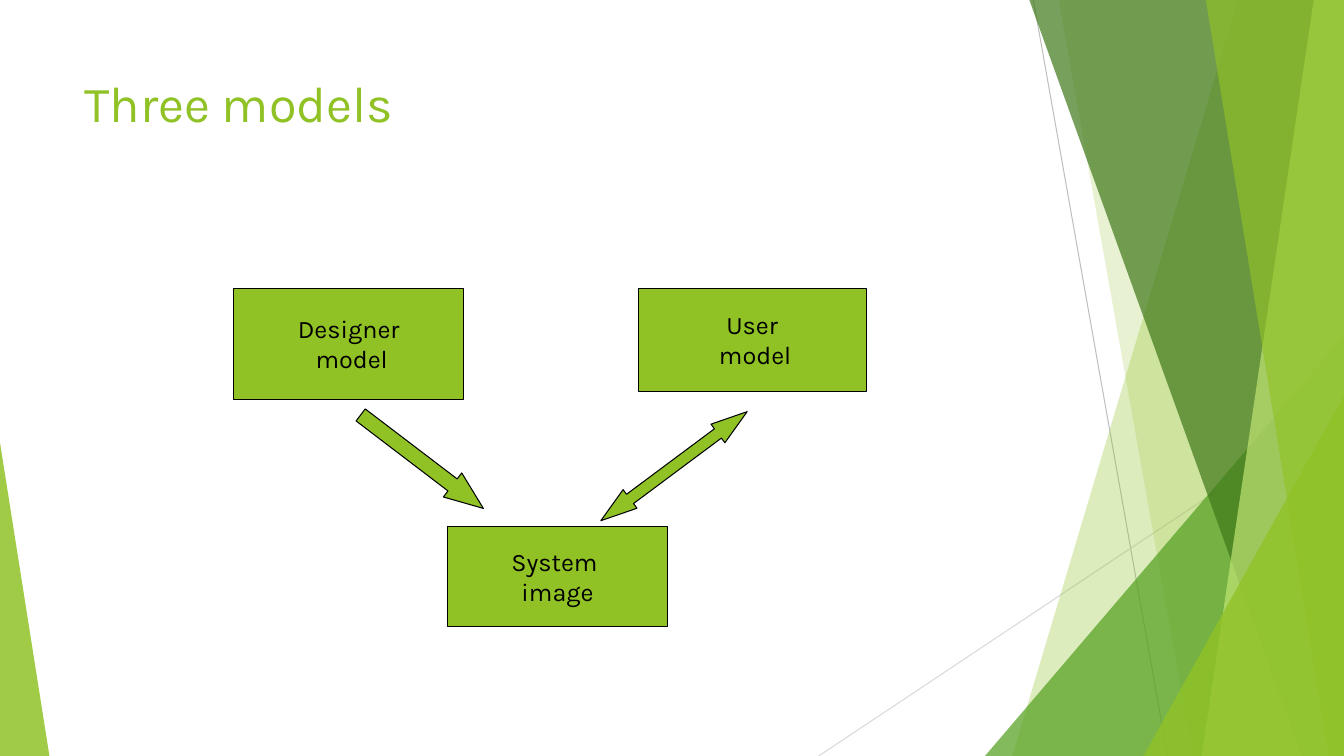
from lxml.etree import SubElement
from pptx import Presentation
from pptx.dml.color import RGBColor
from pptx.enum.shapes import MSO_CONNECTOR, MSO_SHAPE
from pptx.enum.text import MSO_ANCHOR, PP_ALIGN
from pptx.oxml.ns import qn
from pptx.util import Inches, Pt

WIDTH, HEIGHT = Inches(13.33), Inches(7.5)
FONT = "Karla"
LIME = RGBColor(0x90, 0xC2, 0x26)
PALE_LIME = RGBColor(0xC0, 0xE4, 0x74)
GREEN = RGBColor(0x54, 0xA0, 0x21)
DARK_GREEN = RGBColor(0x3F, 0x78, 0x19)
GREY = RGBColor(0xBF, 0xBF, 0xBF)
LIGHT_GREY = RGBColor(0xD9, 0xD9, 0xD9)
BLACK = RGBColor(0, 0, 0)


# Places and sizes are percentages of the slide's width and height
def across(share):
    return round(WIDTH * share / 100)


def down(share):
    return round(HEIGHT * share / 100)


def area(left, top, width, height):
    return across(left), down(top), across(width), down(height)


def paint(shape, color, opacity=100, outline=None):
    shape.shadow.inherit = False
    shape.fill.solid()
    shape.fill.fore_color.rgb = color
    if opacity < 100:
        tone = shape.fill._xPr.find(qn("a:solidFill"))[0]
        SubElement(tone, qn("a:alpha")).set("val", str(opacity * 1000))
    if outline is None:
        shape.line.fill.background()
    else:
        shape.line.color.rgb = outline
        shape.line.width = Pt(0.75)


def write(paragraph, text, size, color):
    run = paragraph.add_run()
    run.text = text
    run.font.name = FONT
    run.font.size = Pt(size)
    run.font.color.rgb = color


def add_ray(slide, start, end, color):
    ray = slide.shapes.add_connector(
        MSO_CONNECTOR.STRAIGHT, across(start[0]), down(start[1]),
        across(end[0]), down(end[1]))
    ray.line.color.rgb = color
    ray.line.width = Pt(0.75)
    SubElement(ray._element.spPr, qn("a:effectLst"))


def add_facet(slide, top_left, bottom_left, color, opacity):
    """Full-height band from a slanted left edge to the slide's right edge."""
    outline = slide.shapes.build_freeform(across(top_left), 0)
    outline.add_line_segments(
        [(WIDTH, 0), (WIDTH, HEIGHT), (across(bottom_left), HEIGHT)])
    paint(outline.convert_to_shape(), color, opacity)


def add_corner(slide, left, top, width, apex, color, opacity):
    """Triangle standing on the slide's bottom edge."""
    corner = slide.shapes.add_shape(
        MSO_SHAPE.ISOSCELES_TRIANGLE, *area(left, top, width, 100 - top))
    corner.adjustments[0] = apex
    paint(corner, color, opacity)


def add_title(slide, text):
    title = slide.shapes.add_textbox(*area(5.55, 8.93, 70.52, 19.2))
    title.text_frame.word_wrap = True
    write(title.text_frame.paragraphs[0], text, 36, LIME)


def add_model(slide, lines, place):
    model = slide.shapes.add_shape(MSO_SHAPE.RECTANGLE, *area(*place))
    paint(model, LIME, outline=BLACK)
    frame = model.text_frame
    frame.word_wrap = False
    frame.vertical_anchor = MSO_ANCHOR.MIDDLE
    label = frame.paragraphs[0]
    label.alignment = PP_ALIGN.CENTER
    for number, line in enumerate(lines):
        if number:
            label.add_line_break()
        write(label, line, 18, BLACK)


def add_arrow(slide, kind, place, angle, head):
    arrow = slide.shapes.add_shape(kind, *area(*place))
    arrow.rotation = angle
    arrow.adjustments[0] = 0.5
    arrow.adjustments[1] = head
    paint(arrow, LIME, outline=BLACK)


def add_backdrop(slide):
    add_ray(slide, (76.89, 0), (86.87, 100), GREY)
    add_ray(slide, (100, 53.73), (60.92, 100), LIGHT_GREY)
    add_facet(slide, 92.12, 75.32, LIME, 30)
    add_facet(slide, 78.77, 88.75, LIME, 20)
    add_corner(slide, 73.29, 44.4, 26.71, 1, GREEN, 72)
    add_facet(slide, 76.59, 96.85, DARK_GREEN, 70)
    add_facet(slide, 97.75, 89.42, PALE_LIME, 70)
    add_facet(slide, 89.72, 98.87, LIME, 65)
    add_corner(slide, 85.07, 52.4, 14.93, 1, LIME, 80)
    add_corner(slide, 0, 58.53, 3.68, 0, LIME, 85)


def main():
    deck = Presentation()
    deck.slide_width, deck.slide_height = WIDTH, HEIGHT
    slide = deck.slides.add_slide(deck.slide_layouts[6])

    add_backdrop(slide)
    add_title(slide, "Three models")

    # The three models
    add_model(slide, ("Designer", " model"), (17.4, 38.13, 17.1, 14.67))
    add_model(slide, ("User", " model"), (47.49, 38.13, 16.95, 13.6))
    add_model(slide, ("System ", "image"), (33.31, 69.6, 16.35, 13.33))

    # How they inform each other
    add_arrow(slide, MSO_SHAPE.RIGHT_ARROW,
              (25.66, 59.07, 11.48, 4), 37.3, 1.28)
    add_arrow(slide, MSO_SHAPE.LEFT_RIGHT_ARROW,
              (43.36, 60.13, 13.58, 3.07), 323.3, 1.57)

    deck.save("out.pptx")


if __name__ == "__main__":
    main()
